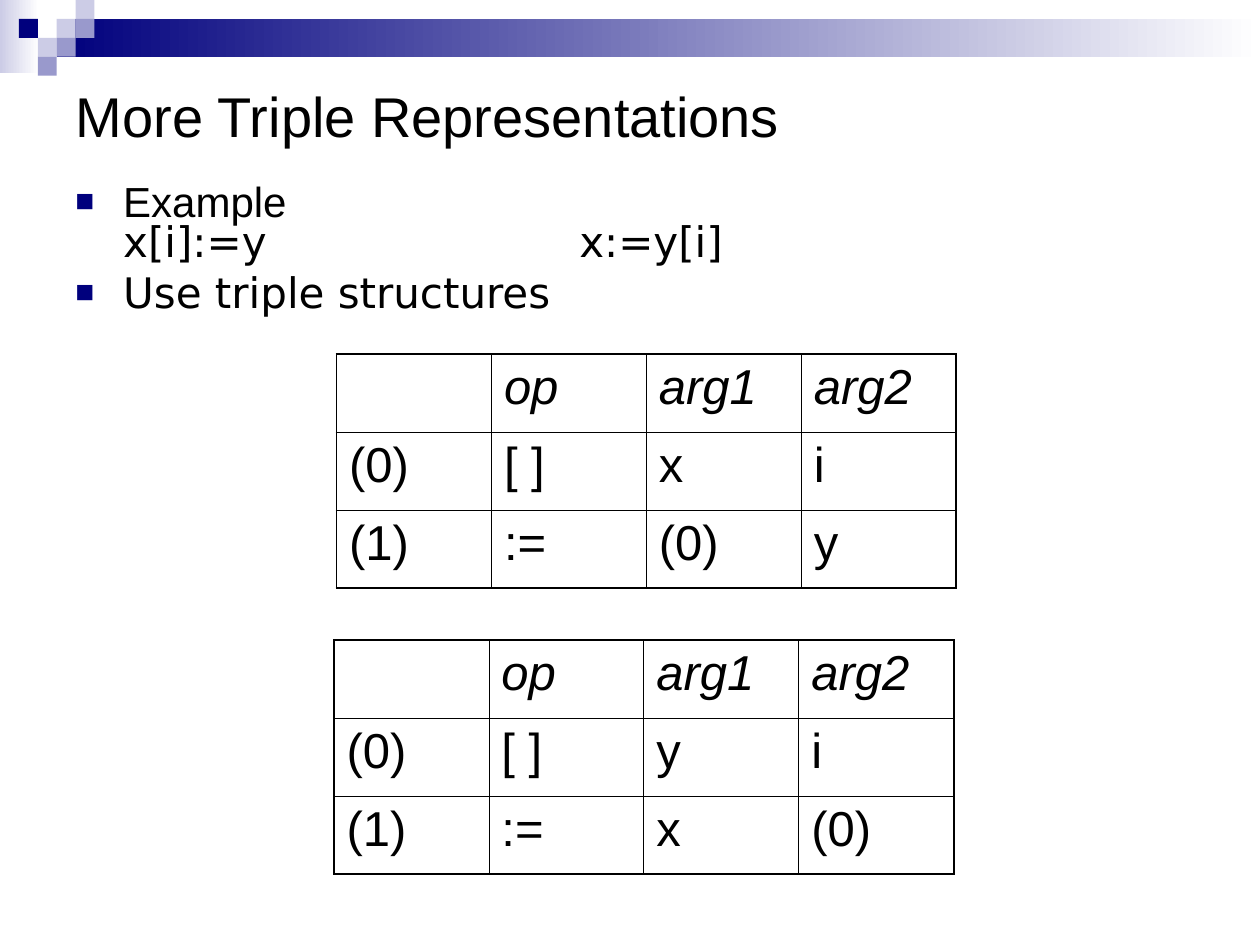
from dataclasses import dataclass

from lxml.etree import SubElement
from pptx import Presentation
from pptx.dml.color import RGBColor as Rgb
from pptx.enum.shapes import MSO_SHAPE as Shape
from pptx.enum.text import MSO_ANCHOR as Anchor, MSO_AUTO_SIZE as Auto, PP_ALIGN as Align
from pptx.oxml.ns import qn
from pptx.util import Inches, Pt


@dataclass(frozen=True)
class Theme:
    ink: str = "000000"
    navy: str = "00007D"
    mid: str = "9999CC"
    pale: str = "CCCCE6"
    white: str = "FFFFFF"
    font: str = "Arial"
    code: str = "DejaVu Sans"
    title: int = 32
    body: int = 24
    cell: int = 28
    thin: float = 0.45
    thick: float = 1.08


THEME = Theme()
UNIT = 0.15  # side of one square in the corner pattern
SQUARES = [
    (3, 1, THEME.pale), (4, 0, THEME.pale), (4, 1, THEME.mid), (2, 2, THEME.pale),
    (1, 1, THEME.navy), (3, 2, THEME.mid), (2, 3, THEME.mid),
]
HEAD = ["", "op", "arg1", "arg2"]
STORE = [HEAD, ["(0)", "[ ]", "x", "i"], ["(1)", ":=", "(0)", "y"]]
FETCH = [HEAD, ["(0)", "[ ]", "y", "i"], ["(1)", ":=", "x", "(0)"]]


def add_run(para, text, size, face=THEME.font, italic=False):
    run = para.add_run()
    run.text = text
    font = run.font
    font.name, font.size, font.italic = face, Pt(size), italic
    font.color.rgb = Rgb.from_string(THEME.ink)


def add_rect(slide, left, top, width, height):
    rect = slide.shapes.add_shape(
        Shape.RECTANGLE, Inches(left), Inches(top), Inches(width), Inches(height))
    rect.shadow.inherit = False
    rect.line.fill.background()
    return rect


def add_fade(slide, left, top, width, height, color):
    """Add a bar that fades from color to white, left to right."""
    fill = add_rect(slide, left, top, width, height).fill
    fill.gradient()
    fill.gradient_angle = 0
    for stop, tint in zip(fill.gradient_stops, (color, THEME.white)):
        stop.color.rgb = Rgb.from_string(tint)


def add_square(slide, col, row, color):
    fill = add_rect(slide, col * UNIT, row * UNIT, UNIT, UNIT).fill
    fill.solid()
    fill.fore_color.rgb = Rgb.from_string(color)


def set_title(slide, text):
    title = slide.shapes.title
    title.left, title.top = Inches(0.5), Inches(0.5)
    title.width, title.height = Inches(9), Inches(0.83)
    frame = title.text_frame
    frame.auto_size = Auto.NONE
    frame.vertical_anchor = Anchor.MIDDLE
    para = frame.paragraphs[0]
    para.alignment = Align.LEFT
    add_run(para, text, THEME.title)


def set_bullet(para, tab=None):
    """Give a paragraph a square bullet, a hanging indent and a tab stop."""
    para.line_spacing = 0.8
    props = para._p.get_or_add_pPr()
    props.set("marL", str(Inches(0.38)))
    props.set("indent", str(-Inches(0.38)))
    SubElement(SubElement(props, qn("a:buClr")), qn("a:srgbClr"), val=THEME.navy)
    SubElement(props, qn("a:buSzPct"), val="75000")
    SubElement(props, qn("a:buFont"), typeface=THEME.font)
    SubElement(props, qn("a:buChar"), char="■")
    if tab:
        stops = SubElement(props, qn("a:tabLst"))
        SubElement(stops, qn("a:tab"), pos=str(Inches(tab)), algn="l")


def add_body(slide):
    box = slide.shapes.add_textbox(Inches(0.5), Inches(1.42), Inches(9), Inches(1.17))
    frame = box.text_frame
    frame.word_wrap = True
    first = frame.paragraphs[0]
    set_bullet(first, tab=4)
    add_run(first, "Example", THEME.body)
    first.add_line_break()
    add_run(first, "x[i]:=y\tx:=y[i]", THEME.body, THEME.code)
    last = frame.add_paragraph()
    last.space_before = Pt(6)
    set_bullet(last)
    add_run(last, "Use triple structures", THEME.body, THEME.code)


def set_border(cell, outer):
    """Draw all four sides, thick where the side is in outer."""
    props = cell._tc.get_or_add_tcPr()
    for side in "LRTB":
        width = THEME.thick if side in outer else THEME.thin
        line = SubElement(props, qn(f"a:ln{side}"), w=str(Pt(width)))
        SubElement(SubElement(line, qn("a:solidFill")), qn("a:srgbClr"), val=THEME.ink)


def add_triples(slide, left, top, rows):
    high, wide = len(rows), len(rows[0])
    table = slide.shapes.add_table(
        high, wide, Inches(left), Inches(top),
        Inches(1.23 * wide), Inches(0.62 * high)).table
    table.first_row = table.horz_banding = False
    for r, row in enumerate(rows):
        for c, text in enumerate(row):
            cell = table.cell(r, c)
            edges = {"L": c == 0, "R": c == wide - 1, "T": r == 0, "B": r == high - 1}
            set_border(cell, [side for side, edge in edges.items() if edge])
            cell.fill.background()
            if text:
                para = cell.text_frame.paragraphs[0]
                add_run(para, text, THEME.cell, italic=r == 0)


def main():
    deck = Presentation()
    deck.slide_width, deck.slide_height = Inches(10), Inches(7.5)
    slide = deck.slides.add_slide(deck.slide_layouts[5])
    add_fade(slide, 0, 0, 0.31, 0.58, THEME.pale)
    add_fade(slide, 0.45, 0.15, 9.55, 0.3, THEME.navy)
    for col, row, color in SQUARES:
        add_square(slide, col, row, color)
    set_title(slide, "More Triple Representations")
    add_body(slide)
    add_triples(slide, 2.67, 2.81, STORE)
    add_triples(slide, 2.65, 5.08, FETCH)
    deck.save("out.pptx")


if __name__ == "__main__":
    main()
